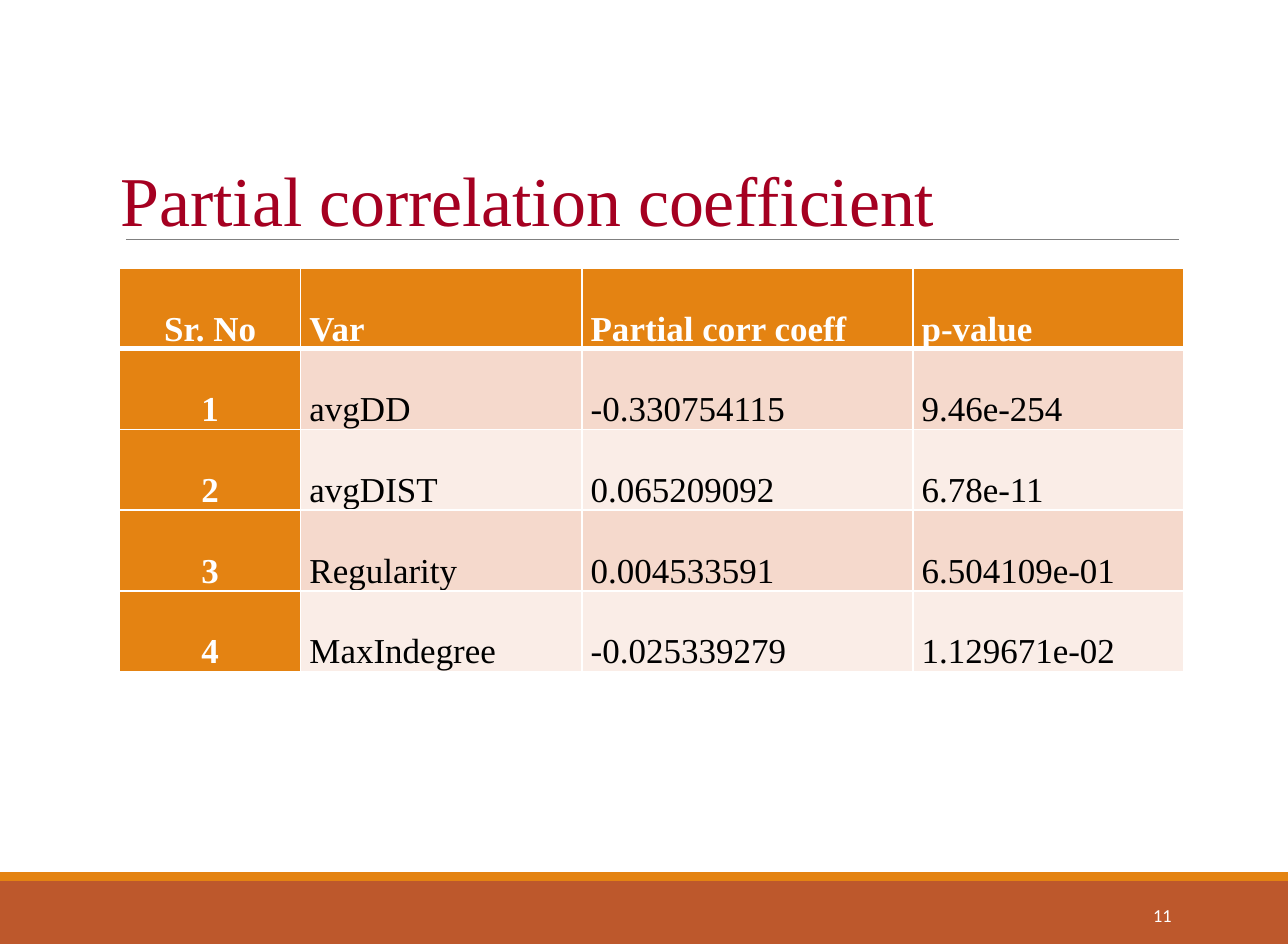
from lxml import etree
from pptx import Presentation
from pptx import util as u
from pptx.dml.color import RGBColor
from pptx.enum import shapes, text
from pptx.oxml.ns import qn

WIDE, HIGH = u.Pt(737), u.Pt(540)
ROWS = 750
UNIT = HIGH // ROWS
COLS = WIDE / UNIT

WHITE = RGBColor(0xFF, 0xFF, 0xFF)
BLACK = RGBColor(0, 0, 0)
GRAY = RGBColor(0x80, 0x80, 0x80)
RED = RGBColor(0xA5, 0x00, 0x21)
RUST = RGBColor(0xBD, 0x58, 0x2C)
ORANGE = RGBColor(0xE4, 0x83, 0x12)
BANDS = RGBColor(0xF5, 0xD9, 0xCC), RGBColor(0xFA, 0xED, 0xE7)

SERIF, SANS = "Times New Roman", "Calibri"
WIDTHS = 144, 223.5, 263, 215.5
HEIGHT = 64.1
DATA = (
    ("Sr. No", "Var", "Partial corr coeff", "p-value"),
    ("1", "avgDD", "-0.330754115", "9.46e-254"),
    ("2", "avgDIST", "0.065209092", "6.78e-11"),
    ("3", "Regularity", "0.004533591", "6.504109e-01"),
    ("4", "MaxIndegree", "-0.025339279", "1.129671e-02"),
)


def grid(*spans):
    return [u.Emu(round(span * UNIT)) for span in spans]


def style(para, face, size, color, bold=False):
    font = para.runs[0].font
    font.name, font.size, font.bold = face, u.Pt(size), bold
    font.color.rgb = color


def add_bar(slide, top, height, color):
    bar = slide.shapes.add_shape(shapes.MSO_SHAPE.RECTANGLE, *grid(0, top, COLS, height))
    bar.shadow.inherit = False
    bar.fill.solid()
    bar.fill.fore_color.rgb = color
    bar.line.fill.background()


def add_rule(slide, left, right, row):
    rule = slide.shapes.add_connector(
        shapes.MSO_CONNECTOR.STRAIGHT, *grid(left, row, right, row))
    rule.line.color.rgb = GRAY
    rule.line.width = u.Pt(0.5)
    etree.SubElement(rule._element.spPr, qn("a:effectLst"))


def add_text(slide, area, words, anchor):
    frame = slide.shapes.add_textbox(*grid(*area)).text_frame
    frame.word_wrap = True
    frame.vertical_anchor = anchor
    frame.text = words
    return frame


def add_title(slide, words):
    frame = add_text(slide, (95, 122, 1011, 69), words, text.MSO_ANCHOR.BOTTOM)
    frame.margin_left = frame.margin_right = frame.margin_bottom = 0
    frame.margin_top = UNIT
    para = frame.paragraphs[0]
    para._p.get_or_add_pPr().set("marL", str(UNIT))
    style(para, SERIF, 40, RED)
    para.runs[0].font._element.set("spc", "-5")


def add_number(slide, words):
    frame = add_text(slide, (831, 707, 110, 40), words, text.MSO_ANCHOR.MIDDLE)
    para = frame.paragraphs[0]
    para.alignment = text.PP_ALIGN.RIGHT
    para.line_spacing = u.Pt(12.4)
    style(para, SANS, 10.5, WHITE)


def add_edge(cell, side, width):
    edge = etree.SubElement(
        cell._tc.get_or_add_tcPr(), qn(f"a:ln{side}"), w=str(u.Pt(width)))
    fill = etree.SubElement(edge, qn("a:solidFill"))
    etree.SubElement(fill, qn("a:srgbClr"), val=str(WHITE))


def fill_cell(cell, words, row, col):
    head = row == 0 or col == 0
    thick = {"T": row == 1, "B": row == 0}
    for side in "LRTB":
        add_edge(cell, side, 3 if thick.get(side) else 1)
    cell.fill.solid()
    cell.fill.fore_color.rgb = ORANGE if head else BANDS[(row - 1) % 2]
    cell.margin_left = cell.margin_right = 7 * UNIT
    cell.margin_top = cell.margin_bottom = 0
    cell.vertical_anchor = text.MSO_ANCHOR.BOTTOM
    cell.text_frame.text = words
    para = cell.text_frame.paragraphs[0]
    para.alignment = text.PP_ALIGN.CENTER if col == 0 else text.PP_ALIGN.LEFT
    style(para, SERIF, 20, WHITE if head else BLACK, head)


def add_table(slide, left, top):
    area = grid(left, top, sum(WIDTHS), HEIGHT * len(DATA))
    table = slide.shapes.add_table(len(DATA), len(WIDTHS), *area).table
    table.first_col = True
    for column, width in zip(table.columns, grid(*WIDTHS)):
        column.width = width
    for row, line in enumerate(DATA):
        table.rows[row].height = grid(HEIGHT)[0]
        for col, words in enumerate(line):
            fill_cell(table.cell(row, col), words, row, col)


def main():
    deck = Presentation()
    deck.slide_width, deck.slide_height = WIDE, HIGH
    slide = deck.slides.add_slide(deck.slide_layouts[6])
    add_bar(slide, 700, 50, RUST)
    add_bar(slide, 693, 7, ORANGE)
    add_rule(slide, 100, 937, 190)
    add_title(slide, "Partial correlation coefficient")
    add_table(slide, 95, 213)
    add_number(slide, "11")
    deck.save("out.pptx")


if __name__ == "__main__":
    main()
